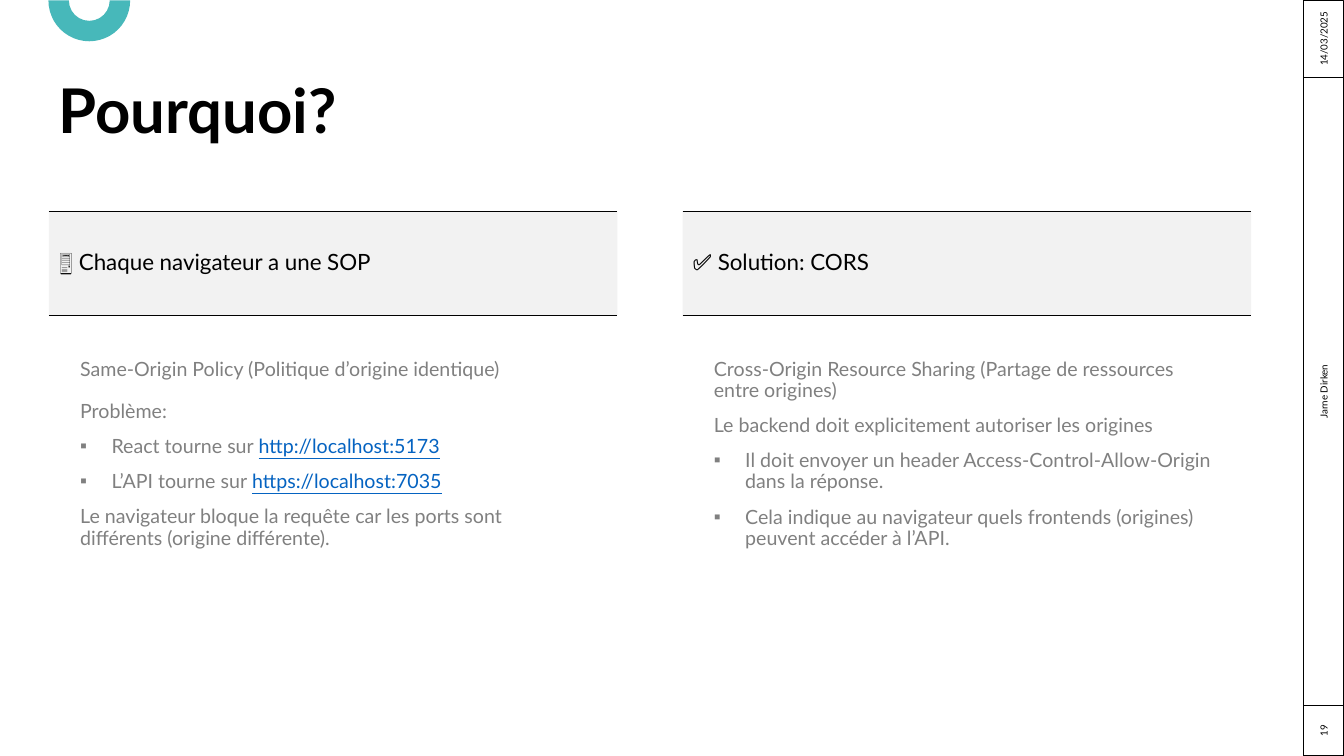
from lxml import etree
from pptx import Presentation
from pptx import util as u
from pptx.dml.color import RGBColor
from pptx.enum import shapes, text
from pptx.oxml.ns import qn

Cm, Pt = u.Cm, u.Pt
FONT = "Lato"
COLORS = {"ink": "000000", "body": "808080", "link": "0563C1",
          "band": "F2F2F2", "teal": "47B8BA"}
SLIDE_W, SLIDE_H = 33.87, 19.05
COLUMN_W = 14.33
INDENT = 0.79
STRIP_W = 1.02

# Each paragraph: (text, link, bulleted, space before in points)
COLUMNS = [
    (1.23, "🖥️ Chaque navigateur a une SOP", [
        ("Same-Origin Policy (Politique d’origine identique)", "", False, 0),
        ("Problème:", "", False, 15),
        ("React tourne sur ", "http://localhost:5173", True, 10),
        ("L’API tourne sur ", "https://localhost:7035", True, 10),
        ("Le navigateur bloque la requête car les ports sont différents "
         "(origine différente).", "", False, 10),
    ]),
    (17.2, "✅ Solution: CORS", [
        ("Cross-Origin Resource Sharing (Partage de ressources entre origines)",
         "", False, 0),
        ("Le backend doit explicitement autoriser les origines", "", False, 10),
        ("Il doit envoyer un header Access-Control-Allow-Origin dans la réponse.",
         "", True, 10),
        ("Cela indique au navigateur quels frontends (origines) peuvent accéder "
         "à l’API.", "", True, 10),
    ]),
]


def rgb(name):
    return RGBColor.from_string(COLORS[name])


def place(sp, x, y, w, h):
    sp.left, sp.top, sp.width, sp.height = Cm(x), Cm(y), Cm(w), Cm(h)


def style_run(r, size, color, bold=False, underline=False):
    f = r.font
    f.name, f.size, f.bold, f.underline = FONT, Pt(size), bold, underline
    f.color.rgb = rgb(color)


def set_bullet(p, bulleted):
    pPr = p._p.get_or_add_pPr()
    pPr.set("marL", str(Cm(INDENT) if bulleted else 0))
    pPr.set("indent", str(-Cm(INDENT) if bulleted else 0))
    if bulleted:
        etree.SubElement(pPr, qn("a:buChar")).set("char", "▪")
    else:
        etree.SubElement(pPr, qn("a:buNone"))


def fill_line(sp, label, size, bold=False):
    """Put one left-aligned, vertically centred line in a placeholder."""
    tf = sp.text_frame
    tf.text = label
    tf.auto_size = text.MSO_AUTO_SIZE.NONE
    tf.vertical_anchor = text.MSO_ANCHOR.MIDDLE
    p = tf.paragraphs[0]
    set_bullet(p, False)
    p.alignment = text.PP_ALIGN.LEFT
    p.line_spacing, p.space_before = 0.9, Pt(0)
    style_run(p.runs[0], size, "ink", bold)


def add_rule(s, x, y, w):
    line = s.shapes.add_connector(shapes.MSO_CONNECTOR.STRAIGHT,
                                  Cm(x), Cm(y), Cm(x + w), Cm(y))
    line.line.width = Pt(0.5)
    line.line.color.rgb = rgb("ink")
    etree.SubElement(line._element.spPr, qn("a:effectLst"))


def add_half_ring(s, x, y, size):
    sp = s.shapes.add_shape(shapes.MSO_SHAPE.BLOCK_ARC,
                            Cm(x), Cm(y), Cm(size), Cm(size))
    sp.rotation = 180
    sp.shadow.inherit = False
    sp.fill.solid()
    sp.fill.fore_color.rgb = rgb("teal")
    sp.line.fill.background()


def add_header(s, sp, label, x, y, w, h):
    place(sp, x, y, w, h)
    sp.fill.solid()
    sp.fill.fore_color.rgb = rgb("band")
    fill_line(sp, label, 16)
    for edge in (y, y + h):
        add_rule(s, x, edge, w)


def add_body(sp, items, x, y, w, h):
    place(sp, x, y, w, h)
    tf = sp.text_frame
    tf.auto_size = text.MSO_AUTO_SIZE.NONE
    tf.vertical_anchor = text.MSO_ANCHOR.TOP
    tf.margin_left = tf.margin_top = tf.margin_right = Cm(INDENT)
    for i, (words, link, bulleted, before) in enumerate(items):
        p = tf.add_paragraph() if i else tf.paragraphs[0]
        set_bullet(p, bulleted)
        p.line_spacing, p.space_before = 0.9, Pt(before)
        r = p.add_run()
        r.text = words
        style_run(r, 14, "body")
        if link:
            r = p.add_run()
            r.text = link
            style_run(r, 14, "link", underline=True)


def add_side_strip(s, x, y, w, cells):
    """Stack bordered cells whose text reads upwards."""
    for label, h in cells:
        sp = s.shapes.add_shape(shapes.MSO_SHAPE.RECTANGLE, 0, 0, 0, 0)
        place(sp, x + (w - h) / 2, y + (h - w) / 2, h, w)
        sp.rotation = 270
        sp.shadow.inherit = False
        sp.fill.background()
        sp.line.color.rgb = rgb("ink")
        sp.line.width = Pt(0.75)
        tf = sp.text_frame
        tf.text = label
        tf.vertical_anchor = text.MSO_ANCHOR.MIDDLE
        p = tf.paragraphs[0]
        p.alignment = text.PP_ALIGN.CENTER
        style_run(p.runs[0], 7, "ink")
        y += h


def build_comparison(prs):
    s = prs.slides.add_slide(prs.slide_layouts[4])
    title, *bodies = s.placeholders
    add_half_ring(s, 1.22, -1.02, 2.06)
    place(title, 1.23, 1.02, 30.3, 3.68)
    fill_line(title, "Pourquoi?", 44, bold=True)
    for (x, label, items), header, body in zip(COLUMNS, bodies[::2], bodies[1::2]):
        add_header(s, header, label, x, 5.32, COLUMN_W, 2.63)
        add_body(body, items, x, 8.26, COLUMN_W, 9.5)
    add_side_strip(s, SLIDE_W - STRIP_W, 0, STRIP_W,
                   [("14/03/2025", 1.95), ("Jarne Dirken", 15.83), ("19", 1.27)])


def main():
    prs = Presentation()
    prs.slide_width, prs.slide_height = Cm(SLIDE_W), Cm(SLIDE_H)
    build_comparison(prs)
    prs.save("out.pptx")


if __name__ == "__main__":
    main()
